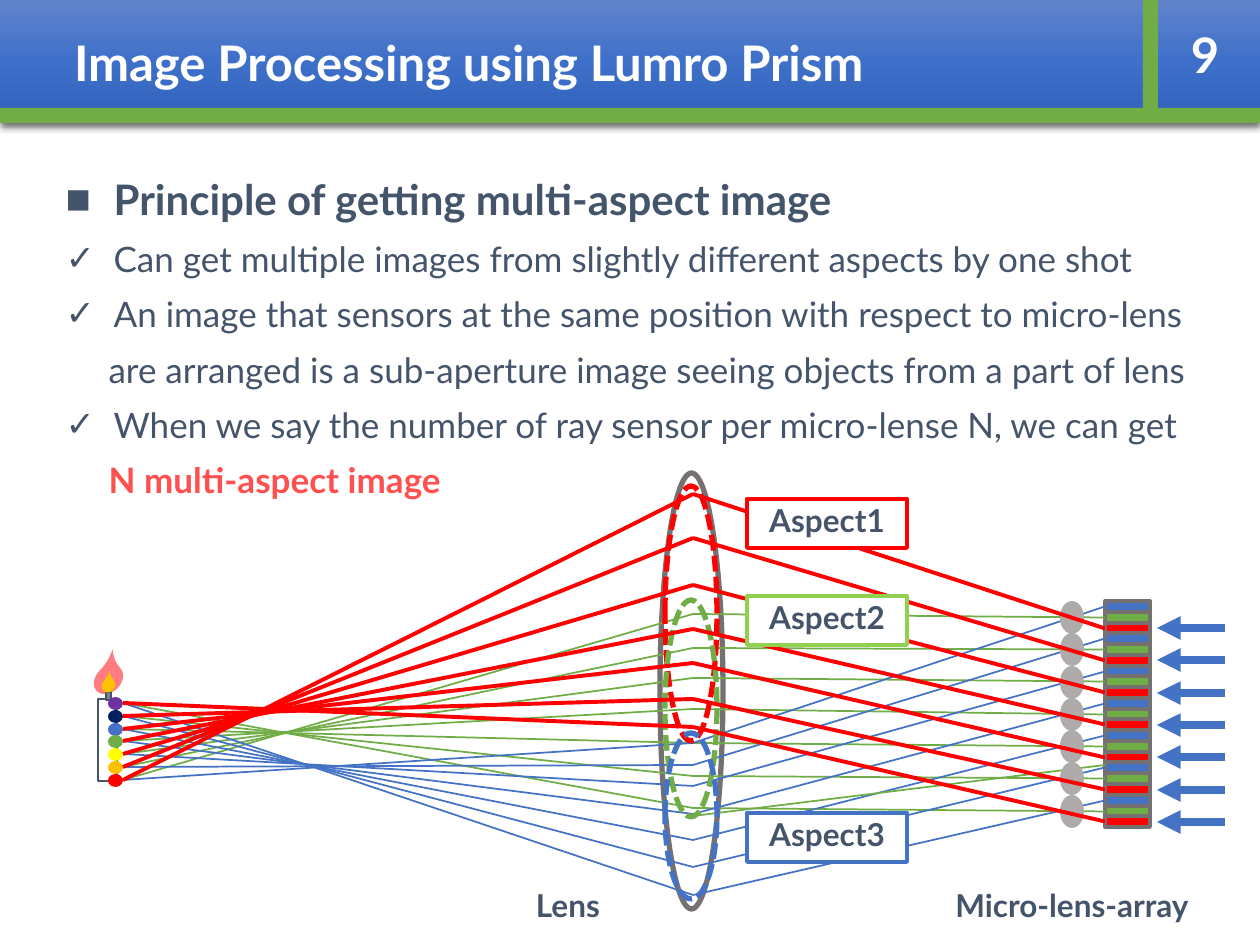
from dataclasses import dataclass

from lxml import etree
from pptx import Presentation
from pptx.dml.color import RGBColor
from pptx.enum.dml import MSO_LINE
from pptx.enum.shapes import MSO_CONNECTOR, MSO_SHAPE
from pptx.enum.text import MSO_ANCHOR, MSO_AUTO_SIZE, PP_ALIGN
from pptx.oxml import parse_xml
from pptx.oxml.ns import nsdecls, qn
from pptx.util import Pt

RECT, OVAL, TEAR = MSO_SHAPE.RECTANGLE, MSO_SHAPE.OVAL, MSO_SHAPE.TEAR
STRAIGHT, DASH = MSO_CONNECTOR.STRAIGHT, MSO_LINE.SQUARE_DOT
LEFT, CENTER = PP_ALIGN.LEFT, PP_ALIGN.CENTER
TOP, MIDDLE = MSO_ANCHOR.TOP, MSO_ANCHOR.MIDDLE
LEFT_SIDE = 1

PX = 914400 / 126
FONT = "Lato"
COLORS = {
    "white": "FFFFFF", "text": "44546A", "accent": "FF5050", "frame": "767171",
    "red": "FF0000", "green": "70AD47", "blue": "4472C4", "lime": "92D050",
    "purple": "7030A0", "navy": "002060", "yellow": "FFFF00", "orange": "FFC000",
    "flame": "FF7C80", "wick": "808080", "microlens": "AFABAB",
    "bar_top": "6183CB", "bar_mid": "3E70CA", "bar_bottom": "3062BB",
}


@dataclass(frozen=True)
class Box:
    left: int
    top: int
    width: int
    height: int

    def emu(self):
        return [px(v) for v in (self.left, self.top, self.width, self.height)]


@dataclass(frozen=True)
class BodyLine:
    text: str
    bullet: str = ""
    size: int = 20
    bold: bool = False
    color: str = "text"
    spacing: float = 1.0


@dataclass(frozen=True)
class Aspect:
    color: str
    lens_ys: tuple
    aperture: Box
    ray_width: float
    sensor_offset: int


@dataclass(frozen=True)
class Label:
    text: str
    box: Box
    border: str


BODY = (
    BodyLine("Principle of getting multi-aspect image", "■", 24, True, spacing=0.9),
    BodyLine("Can get multiple images from slightly different aspects by one shot", "✓"),
    BodyLine("An image that sensors at the same position with respect to micro-lens", "✓"),
    BodyLine("are arranged is a sub-aperture image seeing objects from a part of lens"),
    BodyLine("When we say the number of ray sensor per micro-lense N, we can get", "✓"),
    BodyLine("N multi-aspect image", bold=True, color="accent"),
)
BLUE = Aspect("blue", (743, 765, 786, 814, 840, 867, 895), Box(665, 733, 52, 166), 1, 0)
GREEN = Aspect("green", (614, 648, 678, 709, 743, 776, 808), Box(665, 600, 52, 217), 1, 1)
RED = Aspect("red", (494, 538, 585, 629, 663, 699, 727), Box(665, 486, 52, 255), 2.25, 2)
ASPECTS = (BLUE, GREEN, RED)
DOT_COLORS = ("purple", "navy", "blue", "green", "yellow", "orange", "red")

LENS_X, SENSOR_X, SOURCE_X = 693, 1105, 123
ARRAY_TOP, LENS_PITCH = 601, 32.3
SENSOR_PITCH = LENS_PITCH / len(ASPECTS)
SOURCE_YS = [703 + round(i * 12.83) for i in range(len(DOT_COLORS))]


def px(value: float) -> int:
    return round(value * PX)


def rgb(name: str) -> RGBColor:
    return RGBColor.from_string(COLORS[name])


def add_figure(shapes, kind, box: Box, fill="", line="", width=1.0, rotation=0):
    figure = shapes.add_shape(kind, *box.emu())
    figure.shadow.inherit = False
    figure.rotation = rotation
    if fill:
        figure.fill.solid()
        figure.fill.fore_color.rgb = rgb(fill)
    else:
        figure.fill.background()
    if line:
        figure.line.color.rgb = rgb(line)
        figure.line.width = Pt(width)
    else:
        figure.line.fill.background()
    return figure


def add_line(shapes, start: tuple, end: tuple, color: str, width: float):
    line = shapes.add_connector(STRAIGHT, *map(px, start + end))
    line.line.color.rgb = rgb(color)
    line.line.width = Pt(width)
    etree.SubElement(line._element.spPr, qn("a:effectLst"))
    return line


def add_run(paragraph, text: str, size: int, color: str, bold=True) -> None:
    run = paragraph.add_run()
    run.text = text
    run.font.name, run.font.size, run.font.bold = FONT, Pt(size), bold
    run.font.color.rgb = rgb(color)


def write_line(shape, text: str, size: int, color: str, align=CENTER, anchor=TOP, spacing=0.9) -> None:
    frame = shape.text_frame
    frame.word_wrap = True
    frame.auto_size = MSO_AUTO_SIZE.NONE
    frame.vertical_anchor = anchor
    paragraph = frame.paragraphs[0]
    paragraph.alignment = align
    paragraph.line_spacing = spacing
    add_run(paragraph, text, size, color)


def place(shape, box: Box) -> None:
    shape.left, shape.top, shape.width, shape.height = box.emu()


def add_header(slide) -> None:
    title = slide.shapes.title
    place(title, Box(0, 0, 1260, 123))
    stops = "".join(
        f'<a:gs pos="{pos}"><a:srgbClr val="{COLORS[name]}"/></a:gs>'
        for pos, name in ((0, "bar_top"), (50000, "bar_mid"), (100000, "bar_bottom")))
    for xml in (
        f'<a:gradFill {nsdecls("a")}><a:gsLst>{stops}</a:gsLst><a:lin ang="5400000"/></a:gradFill>',
        f'<a:effectLst {nsdecls("a")}><a:outerShdw blurRad="57150" dist="19050" dir="5400000">'
        '<a:srgbClr val="000000"><a:alpha val="63000"/></a:srgbClr></a:outerShdw></a:effectLst>',
    ):
        title._element.spPr.append(parse_xml(xml))
    title.text_frame.margin_left = px(74)
    write_line(title, "Image Processing using Lumro Prism", 28, "white", LEFT, MIDDLE, 1.0)
    add_figure(slide.shapes, RECT, Box(0, 108, 1260, 15), "green")
    page_number = slide.shapes.add_textbox(*Box(1150, 0, 110, 108).emu())
    write_line(page_number, "9", 28, "white", anchor=MIDDLE, spacing=1.0)
    add_figure(slide.shapes, RECT, Box(1143, 0, 15, 123), "green")


def add_body(body) -> None:
    place(body, Box(53, 173, 1192, 772))
    frame = body.text_frame
    frame.auto_size = MSO_AUTO_SIZE.NONE
    frame.vertical_anchor = TOP
    for i, line in enumerate(BODY):
        paragraph = frame.add_paragraph() if i else frame.paragraphs[0]
        properties = paragraph._p.get_or_add_pPr()
        properties.set("marL", str(px(48 if line.bullet else 43)))
        properties.set("indent", str(px(-48 if line.bullet else 0)))
        if line.bullet:
            etree.SubElement(properties, qn("a:buChar")).set("char", line.bullet)
        else:
            etree.SubElement(properties, qn("a:buNone"))
        paragraph.space_before = Pt(7.5 if i else 0)
        paragraph.line_spacing = line.spacing
        add_run(paragraph, line.text, line.size, line.color, line.bold)


def add_candle(shapes) -> None:
    candle = shapes.add_group_shape().shapes
    add_figure(candle, RECT, Box(98, 699, 19, 82), "white", "text")
    flame = add_figure(candle, TEAR, Box(92, 667, 33, 25), "flame", rotation=315)
    add_figure(candle, RECT, Box(106, 692, 5, 8), "wick", "text")
    core = add_figure(candle, TEAR, Box(101, 679, 15, 13), "orange", rotation=315)
    for part in (flame, core):
        part.adjustments[0] = 1.476


def add_rays(shapes, aspect: Aspect, sensors: list) -> None:
    """Draw rays from each source point through the lens to its sensor."""
    targets = sensors[aspect.sensor_offset::len(ASPECTS)]
    for source_y, lens_y, sensor in zip(reversed(SOURCE_YS), aspect.lens_ys, targets):
        bend = (LENS_X, lens_y)
        add_line(shapes, (SOURCE_X, source_y), bend, aspect.color, aspect.ray_width)
        ray = add_line(shapes, (SENSOR_X, lens_y), bend, aspect.color, aspect.ray_width)
        ray.begin_connect(sensor, LEFT_SIDE)


def add_label(shapes, label: Label) -> None:
    box = add_figure(shapes, RECT, label.box, "white", label.border, 2.25)
    write_line(box, label.text, 18, "text")


def main() -> None:
    deck = Presentation()
    deck.slide_width, deck.slide_height = px(1260), px(945)
    slide = deck.slides.add_slide(deck.slide_layouts[1])
    shapes = slide.shapes
    add_header(slide)
    add_body(slide.placeholders[1])

    add_figure(shapes, OVAL, Box(660, 473, 63, 436), line="frame", width=3)
    sensors = [
        add_figure(shapes, RECT, Box(SENSOR_X, round(ARRAY_TOP + i * SENSOR_PITCH), 45, 11),
                   ASPECTS[i % len(ASPECTS)].color, "frame", 2.25)
        for i in range(len(ASPECTS) * len(SOURCE_YS))]
    add_candle(shapes)
    for aspect in (GREEN, BLUE):
        add_rays(shapes, aspect, sensors)
    add_line(shapes, (SENSOR_X, 765), (LENS_X, 816), "green", 1)
    for i, (color, y) in enumerate(zip(DOT_COLORS, SOURCE_YS)):
        add_figure(shapes, OVAL, Box(108, y - 6, 15, 13), color)
        add_figure(shapes, OVAL, Box(1060, round(ARRAY_TOP + i * LENS_PITCH), 24, 33), "microlens")
        arrow_y = round(628 + i * LENS_PITCH)
        arrow = add_line(shapes, (1225, arrow_y), (1157, arrow_y), "blue", 4.5)
        etree.SubElement(arrow.line._get_or_add_ln(), qn("a:tailEnd")).set("type", "triangle")
    for aspect in (RED, GREEN, BLUE):
        aperture = add_figure(shapes, OVAL, aspect.aperture, line=aspect.color, width=3)
        aperture.line.dash_style = DASH

    add_label(shapes, Label("Aspect3", Box(747, 813, 160, 49), "blue"))
    add_rays(shapes, RED, sensors)
    add_label(shapes, Label("Aspect1", Box(747, 499, 160, 49), "red"))
    add_label(shapes, Label("Aspect2", Box(747, 596, 160, 49), "lime"))
    for text, left in (("Lens", 367), ("Micro-lens-array", 871)):
        write_line(shapes.add_textbox(*Box(left, 884, 402, 61).emu()), text, 18, "text")
    deck.save("out.pptx")


if __name__ == "__main__":
    main()
